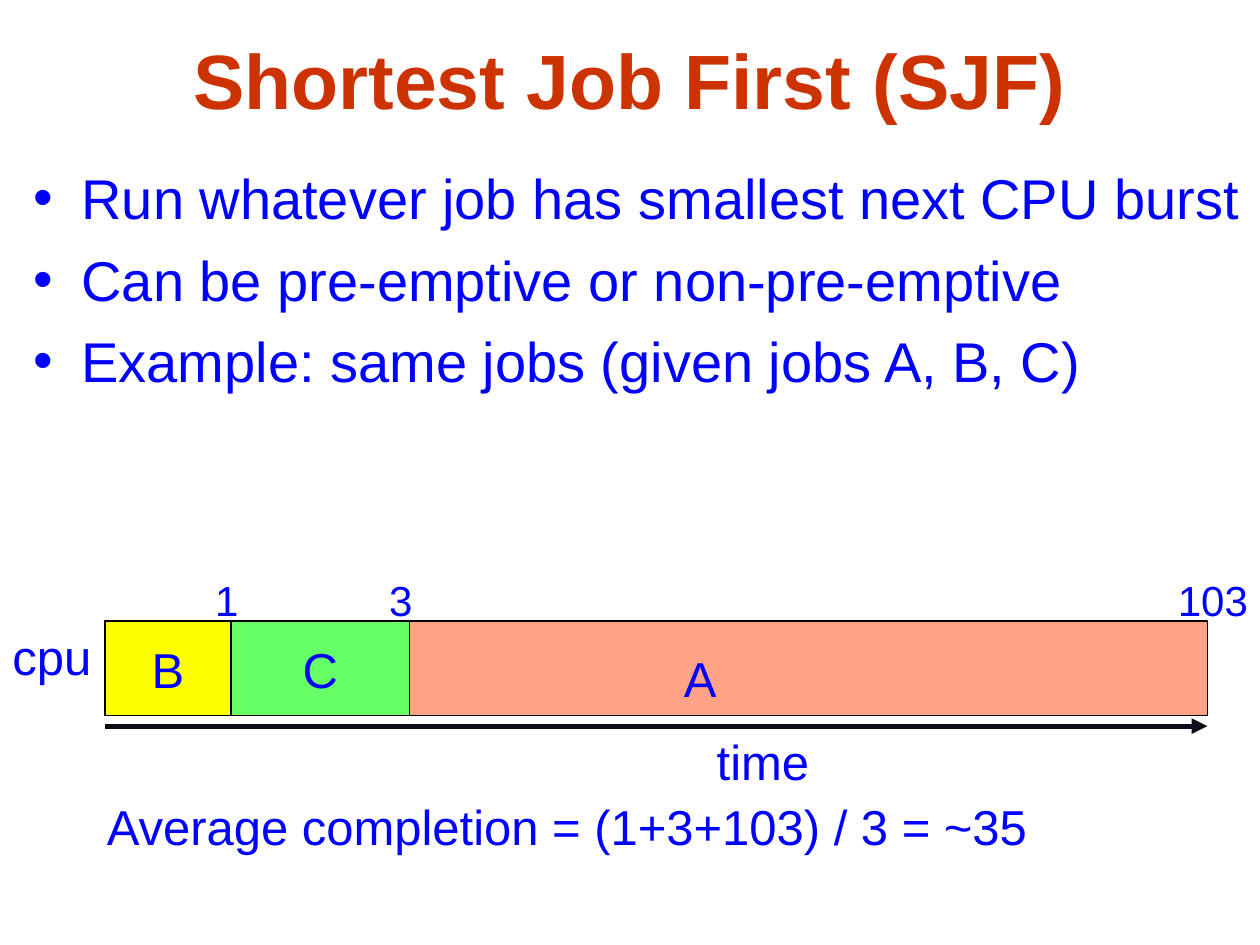
"""Build the Shortest Job First slide with its CPU timeline."""
from pptx import Presentation
from pptx.dml.color import RGBColor
from pptx.enum.shapes import MSO_CONNECTOR, MSO_SHAPE
from pptx.enum.text import MSO_ANCHOR, PP_ALIGN
from pptx.oxml.ns import qn
from pptx.util import Inches, Pt
from lxml.etree import SubElement

RED = RGBColor(0xCC, 0x33, 0x00)
BLUE = RGBColor(0x00, 0x00, 0xFF)
BLACK = RGBColor(0x00, 0x00, 0x00)
INK = RGBColor(0x0F, 0x0C, 0x19)
SALMON = RGBColor(0xFF, 0xA2, 0x85)
YELLOW = RGBColor(0xFF, 0xFF, 0x00)
GREEN = RGBColor(0x66, 0xFF, 0x66)

COL = Inches(1) // 12
START, SPAN = 10 * COL, 105 * COL
TOP, HIGH = Inches(4.93), 9 * COL


def style(para, size, color=BLUE):
    font = para.font
    font.name, font.size, font.color.rgb = "Arial", Pt(size), color


def label(text, left, top, width, size=28):
    high = 0.57 if size == 28 else 0.5
    box = slide.shapes.add_textbox(Inches(left), Inches(top), Inches(width), Inches(high))
    box.text_frame.word_wrap = True
    para = box.text_frame.paragraphs[0]
    para.text = text
    style(para, size)
    return para


deck = Presentation()
deck.slide_width, deck.slide_height = Inches(10), Inches(7.5)
slide = deck.slides.add_slide(deck.slide_layouts[1])

title = slide.shapes.title
title.left, title.top, title.width, title.height = Inches(0.5), 0, Inches(9), Inches(1.25)
title.text_frame.text = "Shortest Job First (SJF)"
title.text_frame.vertical_anchor = MSO_ANCHOR.MIDDLE
head = title.text_frame.paragraphs[0]
head.alignment = PP_ALIGN.CENTER
style(head, 44, RED)
head.font.bold = True

body = slide.placeholders[1]
body.left, body.top, body.width, body.height = 2 * COL, 15 * COL, 118 * COL, 46 * COL
body.text_frame.text = "\n".join([
    "Run whatever job has smallest next CPU burst",
    "Can be pre-emptive or non-pre-emptive",
    "Example: same jobs (given jobs A, B, C)",
])
for para in body.text_frame.paragraphs:
    style(para, 32)
    para.space_before = Pt(8)
    props = para._p.get_or_add_pPr()
    props.set("marL", str(Inches(0.38)))
    props.set("indent", str(-Inches(0.38)))
    SubElement(props, qn("a:buChar"), char="•")

jobs = [("", 0, 105, SALMON), ("B", 0, 12, YELLOW), ("C", 12, 17, GREEN)]
for name, first, cols, fill in jobs:
    bar = slide.shapes.add_shape(
        MSO_SHAPE.RECTANGLE, START + first * COL, TOP, cols * COL, HIGH)
    bar.shadow.inherit = False
    bar.fill.solid()
    bar.fill.fore_color.rgb = fill
    bar.line.color.rgb = BLACK
    bar.line.width = Pt(1)
    if name:
        frame = bar.text_frame
        frame.text = name
        frame.word_wrap = False
        frame.vertical_anchor = MSO_ANCHOR.MIDDLE
        frame.paragraphs[0].alignment = PP_ALIGN.CENTER
        style(frame.paragraphs[0], 28)

label("A", 5.33, 5.1, 1.21)
label("cpu", 0, 4.92, 0.9)
label("time", 5.59, 5.76, 1)

level = TOP + HIGH + COL
axis = slide.shapes.add_connector(
    MSO_CONNECTOR.STRAIGHT, START, level, START + SPAN, level)
axis.line.color.rgb = INK
axis.line.width = Pt(3)
SubElement(axis.line._get_or_add_ln(), qn("a:tailEnd"), type="triangle")
SubElement(axis._element.spPr, qn("a:effectLst"))

ticks = label("1\t3\t103", 1.61, 4.51, 8.4, size=24)
stops = SubElement(ticks._p.get_or_add_pPr(), qn("a:tabLst"))
for stop in (1.38, 7.64):
    SubElement(stops, qn("a:tab"), pos=str(Inches(stop)), algn="l")

total = label("Average completion = (1+3+103) / 3 = ~35", 0.25, 6.27, 9.25)
total.level = 1
total.space_before = Pt(7)
props = total._p.get_or_add_pPr()
props.set("marL", str(Inches(0.5)))
props.set("indent", "0")

deck.save("out.pptx")
